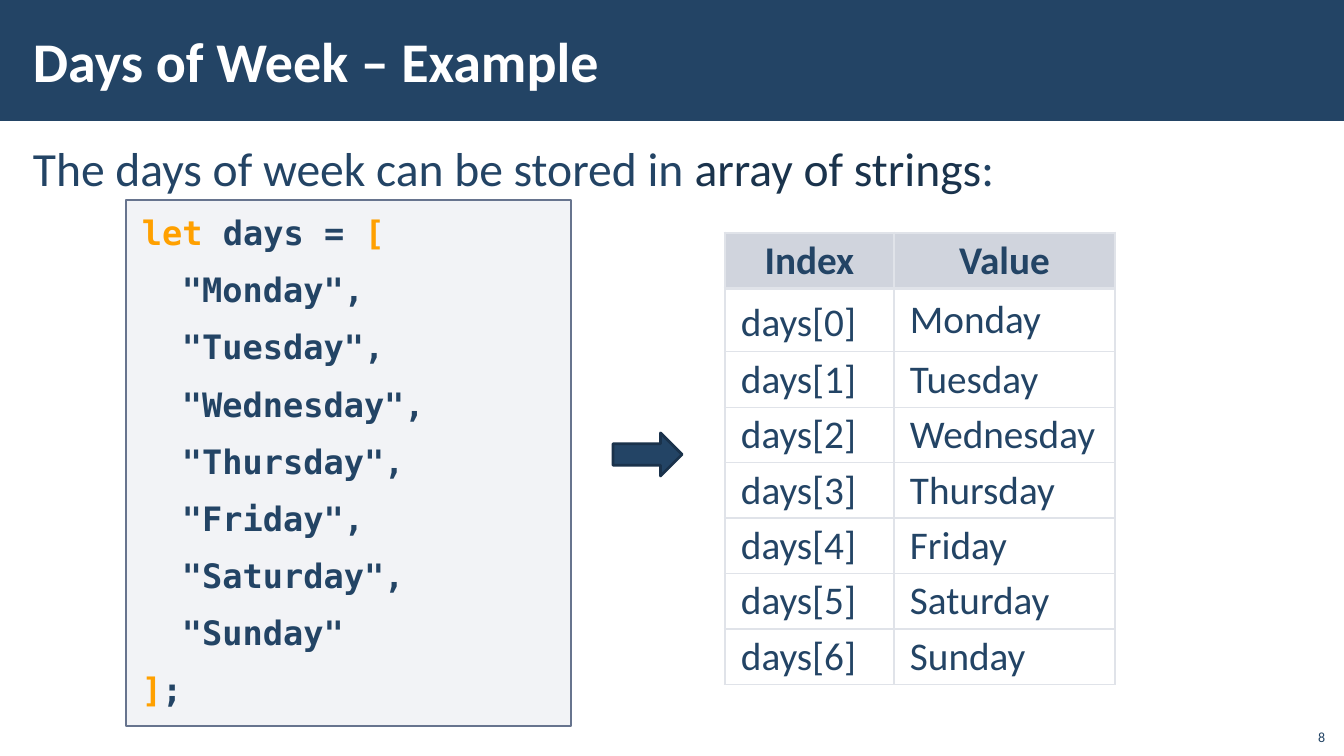
from pptx import Presentation
from pptx.dml.color import RGBColor
from pptx.enum.shapes import MSO_SHAPE
from pptx.enum.text import MSO_ANCHOR, MSO_AUTO_SIZE, PP_ALIGN
from pptx.oxml.ns import qn
from pptx.util import Pt
from lxml.etree import SubElement

SCALE = 914400 / 100.8
WIDE, HIGH = 1344, 756
SANS, MONO = "Calibri", "DejaVu Sans Mono"
COLORS = {
    "navy": "234465", "dark": "1A334C", "edge": "1A324B", "white": "FFFFFF",
    "orange": "FFA000", "code": "ADB4C3", "frame": "67748E",
    "head": "A3ABBC", "rule": "E0E3E9",
}

TITLE = "Days of Week – Example"
INTRO = [("The days of week can be stored in ", "navy"),
         ("array of strings", "dark"), (":", "navy")]
DAYS = ["Monday", "Tuesday", "Wednesday", "Thursday", "Friday",
        "Saturday", "Sunday"]
HEADS = ["Index", "Value"]
PAGE = "8"

# Each code line is an indent in px and its coloured runs
CODE = [(0, [("let ", "orange"), ("days = ", "navy"), ("[", "orange")])]
CODE += [(40, [(f'"{day}"' + ("," if day != DAYS[-1] else ""), "navy")])
         for day in DAYS]
CODE += [(0, [("]", "orange"), (";", "navy")])]

ROWS = [HEADS] + [[f"days[{i}]", day] for i, day in enumerate(DAYS)]
COLS = [169, 221]
TALL = [55, 63] + [55] * 6


def px(n):
    return round(n * SCALE)


def box(*nums):
    return [px(n) for n in nums]


def rgb(name):
    return RGBColor.from_string(COLORS[name])


def paint(fill, name):
    fill.solid()
    fill.fore_color.rgb = rgb(name)


def fade(props, share):
    """Set the opacity, in percent, of the solid fill inside props."""
    color = props.find(qn("a:solidFill")).find(qn("a:srgbClr"))
    SubElement(color, qn("a:alpha"), val=str(share * 1000))


def write(para, runs, size, face=SANS, bold=False):
    for text, color in runs:
        run = para.add_run()
        run.text = text
        font = run.font
        font.size, font.name, font.bold = Pt(size), face, bold
        font.color.rgb = rgb(color)


def inset(item, side, top):
    item.margin_left = item.margin_right = px(side)
    item.margin_top = item.margin_bottom = px(top)


def indent(para, left):
    props = para._p.get_or_add_pPr()
    props.set("marL", str(px(left)))
    props.set("indent", "0")
    SubElement(props, qn("a:buNone"))


def place(holder, spot, anchor):
    holder.left, holder.top, holder.width, holder.height = box(*spot)
    frame = holder.text_frame
    frame.word_wrap, frame.auto_size = True, MSO_AUTO_SIZE.NONE
    frame.vertical_anchor = anchor
    inset(frame, 12, 4)
    return frame.paragraphs[0]


def draw(kind, spot, color, edge=None, weight=1):
    shape = slide.shapes.add_shape(kind, *box(*spot))
    shape.shadow.inherit = False
    paint(shape.fill, color)
    if edge:
        shape.line.color.rgb = rgb(edge)
        shape.line.width = Pt(weight)
    else:
        shape.line.fill.background()
    return shape


def border(cell, row, col):
    """Rule all four sides: thick round the table and under its head."""
    thick = {"lnL": col == 0, "lnR": col == len(COLS) - 1,
             "lnT": row < 2, "lnB": row == 0}
    props = cell._tc.get_or_add_tcPr()
    for side, heavy in thick.items():
        line = SubElement(props, qn("a:" + side),
                          w=str(Pt(2.25 if heavy else 1)))
        fill = SubElement(line, qn("a:solidFill"))
        SubElement(fill, qn("a:srgbClr"), val=COLORS["rule"])


deck = Presentation()
deck.slide_width, deck.slide_height = box(WIDE, HIGH)
slide = deck.slides.add_slide(deck.slide_layouts[1])
title, body = slide.placeholders

band = draw(MSO_SHAPE.RECTANGLE, (0, 0, WIDE, 121), "navy")
slide.shapes._spTree.insert(2, band._element)

para = place(title, (21, 11, 1072, 98), MSO_ANCHOR.MIDDLE)
para.alignment = PP_ALIGN.LEFT
write(para, [(TITLE, "white")], 40, bold=True)

para = place(body, (21, 132, 1302, 613), MSO_ANCHOR.TOP)
indent(para, 0)
para.line_spacing = 1.05
para.space_before = para.space_after = Pt(6)
write(para, INTRO, 34)

panel = draw(MSO_SHAPE.RECTANGLE, (126, 200, 445, 526), "code", "frame")
fade(panel._element.spPr, 15)
frame = panel.text_frame
frame.word_wrap, frame.vertical_anchor = True, MSO_ANCHOR.TOP
inset(frame, 16, 12)
for i, (left, runs) in enumerate(CODE):
    para = frame.add_paragraph() if i else frame.paragraphs[0]
    para.alignment = PP_ALIGN.LEFT
    para.space_before = para.space_after = Pt(6)
    indent(para, left)
    write(para, runs, 24, MONO, True)

draw(MSO_SHAPE.RIGHT_ARROW, (613, 433, 69, 43), "navy", "edge", 2)

table = slide.shapes.add_table(
    len(ROWS), len(COLS), *box(725, 233, sum(COLS), sum(TALL))).table
table.first_row = table.horz_banding = False
for col, wide in zip(table.columns, COLS):
    col.width = px(wide)
for r, (texts, tall) in enumerate(zip(ROWS, TALL)):
    table.rows[r].height = px(tall)
    for c, text in enumerate(texts):
        cell = table.cell(r, c)
        border(cell, r, c)
        cell.vertical_anchor = MSO_ANCHOR.MIDDLE
        inset(cell, 16, 5)
        para = cell.text_frame.paragraphs[0]
        para.line_spacing = Pt(38) if (r, c) == (1, 0) else 0.95
        if r == 0:
            para.alignment = PP_ALIGN.CENTER
            paint(cell.fill, "head")
            fade(cell._tc.tcPr, 50)
        else:
            cell.fill.background()
        write(para, [(text, "navy")], 28, bold=r == 0)

number = slide.shapes.add_textbox(*box(1295, 718, 40, 32))
number.text_frame.word_wrap = True
number.text_frame.vertical_anchor = MSO_ANCHOR.BOTTOM
para = number.text_frame.paragraphs[0]
para.alignment = PP_ALIGN.RIGHT
write(para, [(PAGE, "navy")], 10)

deck.save("out.pptx")
